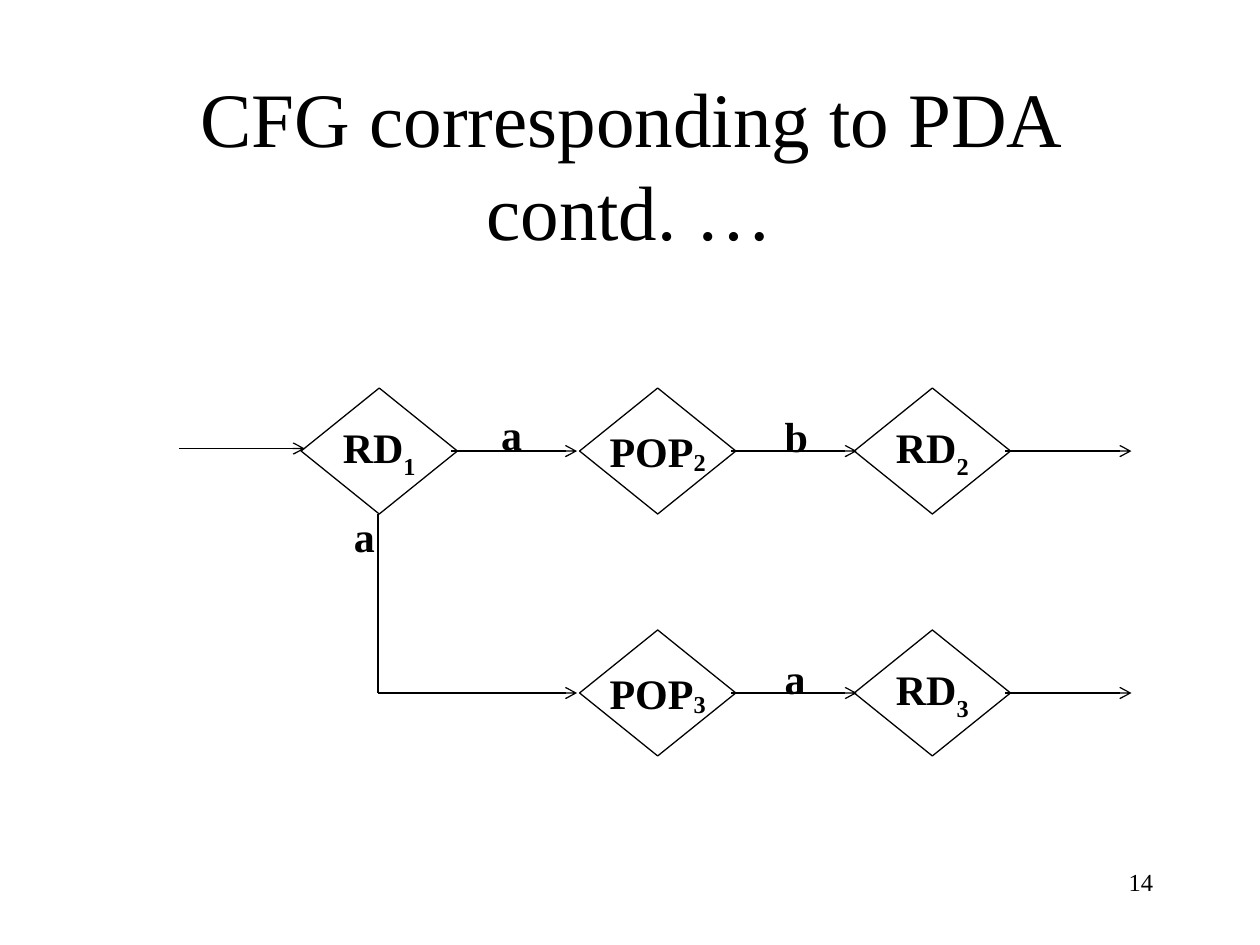
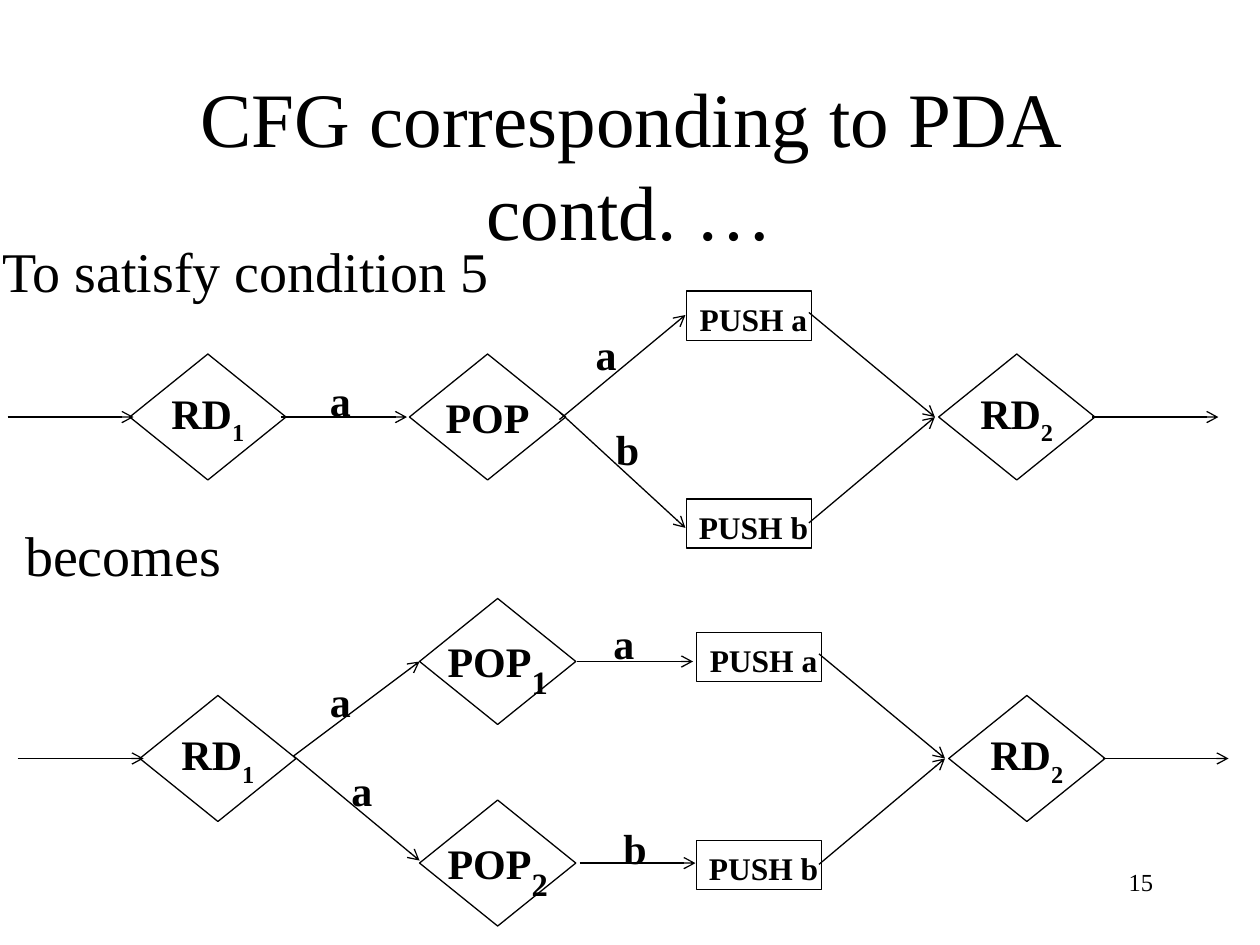
from dataclasses import dataclass

from lxml.etree import SubElement
from pptx import Presentation
from pptx.dml.color import RGBColor
from pptx.enum.shapes import MSO_CONNECTOR, MSO_SHAPE
from pptx.enum.text import MSO_ANCHOR, PP_ALIGN
from pptx.oxml.ns import qn
from pptx.slide import Slide
from pptx.text.text import TextFrame
from pptx.util import Inches, Pt

COLORS = {"ink": "000000", "paper": "FFFFFF"}
FONT = "Times New Roman"
TITLE = "CFG corresponding to PDA contd. …"
LINE_WIDTH = Pt(0.75)
DECISION_WIDTH, DECISION_HEIGHT = 1.24, 1
PUSH_WIDTH, PUSH_HEIGHT = 0.99, 0.39
LABEL_SIZE = 0.5


@dataclass
class Decision:
    left: float
    top: float
    name: str
    index: str = ""
    index_size: int = 24
    index_drop: int = -30


@dataclass
class Edge:
    x1: float
    y1: float
    x2: float
    y2: float
    arrow: bool = True


@dataclass
class Label:
    left: float
    top: float
    letter: str


@dataclass
class Push:
    left: float
    top: float
    letter: str


Part = Decision | Edge | Label | Push


def rgb(name: str) -> RGBColor:
    return RGBColor.from_string(COLORS[name])


def write(frame: TextFrame, text: str, *, size: int, bold: bool = False,
          align: PP_ALIGN = PP_ALIGN.LEFT, anchor: MSO_ANCHOR = MSO_ANCHOR.TOP,
          wrap: bool = True, index: str = "", index_size: int = 24,
          index_drop: int = -30) -> None:
    """Write one paragraph, with an optional lowered index after the text."""
    frame.word_wrap = wrap
    frame.vertical_anchor = anchor
    paragraph = frame.paragraphs[0]
    paragraph.alignment = align
    pieces = [(text, size, 0)]
    if index:
        pieces.append((index, index_size, index_drop))
    for piece, points, drop in pieces:
        run = paragraph.add_run()
        run.text = piece
        run.font.name = FONT
        run.font.size = Pt(points)
        run.font.bold = bold
        run.font.color.rgb = rgb("ink")
        if drop:
            run.font._element.set("baseline", str(drop * 1000))


def text_box(slide: Slide, left: float, top: float, width: float,
             height: float) -> TextFrame:
    return slide.shapes.add_textbox(
        Inches(left), Inches(top), Inches(width), Inches(height)).text_frame


def outline(slide: Slide, kind: MSO_SHAPE, left: float, top: float,
            width: float, height: float) -> TextFrame:
    shape = slide.shapes.add_shape(
        kind, Inches(left), Inches(top), Inches(width), Inches(height))
    shape.shadow.inherit = False
    shape.fill.background()
    shape.line.color.rgb = rgb("ink")
    shape.line.width = LINE_WIDTH
    return shape.text_frame


def draw_decision(slide: Slide, part: Decision) -> None:
    frame = outline(slide, MSO_SHAPE.FLOWCHART_DECISION, part.left, part.top,
                    DECISION_WIDTH, DECISION_HEIGHT)
    write(frame, part.name, size=24, bold=True, align=PP_ALIGN.CENTER,
          anchor=MSO_ANCHOR.MIDDLE, wrap=False, index=part.index,
          index_size=part.index_size, index_drop=part.index_drop)


def draw_edge(slide: Slide, part: Edge) -> None:
    edge = slide.shapes.add_connector(
        MSO_CONNECTOR.STRAIGHT, Inches(part.x1), Inches(part.y1),
        Inches(part.x2), Inches(part.y2))
    edge.line.color.rgb = rgb("ink")
    edge.line.width = LINE_WIDTH
    if part.arrow:
        SubElement(edge.line._get_or_add_ln(), qn("a:tailEnd"), type="arrow")
    SubElement(edge._element.spPr, qn("a:effectLst"))


def draw_label(slide: Slide, part: Label) -> None:
    write(text_box(slide, part.left, part.top, LABEL_SIZE, LABEL_SIZE),
          part.letter, size=24, bold=True)


def draw_push(slide: Slide, part: Push) -> None:
    outline(slide, MSO_SHAPE.RECTANGLE, part.left, part.top,
            PUSH_WIDTH, PUSH_HEIGHT)
    write(text_box(slide, part.left - 0.01, part.top + 0.02, 1.08, 0.4),
          f"PUSH {part.letter}", size=18, bold=True, align=PP_ALIGN.CENTER)


DRAWERS = {Decision: draw_decision, Edge: draw_edge,
           Label: draw_label, Push: draw_push}


def pop_then_read(top: float, index: str, letter: str) -> list[Part]:
    """A row that pops, follows the letter and reads on."""
    middle = top + DECISION_HEIGHT / 2
    return [
        Decision(4.6, top, "POP", index, index_drop=-10),
        Edge(5.8, middle, 6.8, middle),
        Label(6.13, top + 0.13, letter),
        Decision(6.78, top, "RD", index="2" if index == "2" else "3"),
        Edge(7.98, middle, 8.98, middle),
    ]


def read_push_read(dx: float, dy: float) -> list[Part]:
    """The frame of both machines: RD1 at left, two pushes meeting in RD2."""
    middle = 3.31 + dy
    return [
        Edge(0.06 + dx, middle, 1.06 + dx, middle),
        Decision(1.03 + dx, 2.81 + dy, "RD", "1"),
        Push(5.45 + dx, 2.31 + dy, "a"),
        Push(5.45 + dx, 3.96 + dy, "b"),
        Edge(6.42 + dx, 2.48 + dy, 7.42 + dx, middle),
        Edge(6.42 + dx, 4.15 + dy, 7.42 + dx, middle),
        Decision(7.45 + dx, 2.81 + dy, "RD", "2"),
        Edge(8.67 + dx, middle, 9.67 + dx, middle),
    ]


SPLIT_READS: list[Part] = [
    Edge(1.42, 3.56, 2.42, 3.56),
    Decision(2.39, 3.08, "RD", "1"),
    Edge(3.58, 3.58, 4.58, 3.58),
    Label(3.88, 3.19, "a"),
    *pop_then_read(3.08, "2", "b"),
    Edge(3, 4.08, 3, 5.5, arrow=False),
    Label(2.71, 4, "a"),
    Edge(3, 5.5, 4.58, 5.5),
    *pop_then_read(5, "3", "a"),
]

BRANCHING_POP: list[Part] = [
    *read_push_read(0, 0),
    Edge(2.23, 3.31, 3.23, 3.31),
    Label(2.52, 2.92, "a"),
    Decision(3.25, 2.81, "POP"),
    Edge(4.44, 3.33, 5.44, 2.5),
    Label(4.63, 2.56, "a"),
    Edge(4.44, 3.27, 5.44, 4.19),
    Label(4.79, 3.31, "b"),
]

BRANCHING_READ: list[Part] = [
    *read_push_read(0.08, 2.71),
    Edge(2.33, 6, 3.33, 5.25),
    Label(2.52, 5.31, "a"),
    Edge(2.33, 6, 3.33, 6.83),
    Label(2.69, 6.02, "a"),
    Decision(3.33, 4.75, "POP", "1", index_size=32),
    Edge(4.58, 5.25, 5.5, 5.25),
    Label(4.77, 4.85, "a"),
    Decision(3.33, 6.35, "POP", "2", index_size=32),
    Edge(4.6, 6.85, 5.52, 6.85),
    Label(4.85, 6.48, "b"),
]


def add_diagram_slide(deck: Presentation, number: int,
                      parts: list[Part]) -> Slide:
    slide = deck.slides.add_slide(deck.slide_layouts[6])
    slide.background.fill.solid()
    slide.background.fill.fore_color.rgb = rgb("paper")
    write(text_box(slide, 0.75, 0.67, 8.5, 1.25), TITLE, size=44,
          align=PP_ALIGN.CENTER, anchor=MSO_ANCHOR.MIDDLE)
    for part in parts:
        DRAWERS[type(part)](slide, part)
    write(text_box(slide, 7.17, 6.83, 2.08, 0.5), str(number), size=14,
          align=PP_ALIGN.RIGHT)
    return slide


def main() -> None:
    deck = Presentation()
    deck.slide_width, deck.slide_height = Inches(10), Inches(7.5)
    add_diagram_slide(deck, 14, SPLIT_READS)
    condition = add_diagram_slide(deck, 15, BRANCHING_POP + BRANCHING_READ)
    for left, top, caption in [(-0.08, 1.83, "To satisfy condition 5"),
                               (0.1, 4.08, "becomes")]:
        write(text_box(condition, left, top, 5.25, 0.64), caption, size=32)
    deck.save("out.pptx")


if __name__ == "__main__":
    main()
